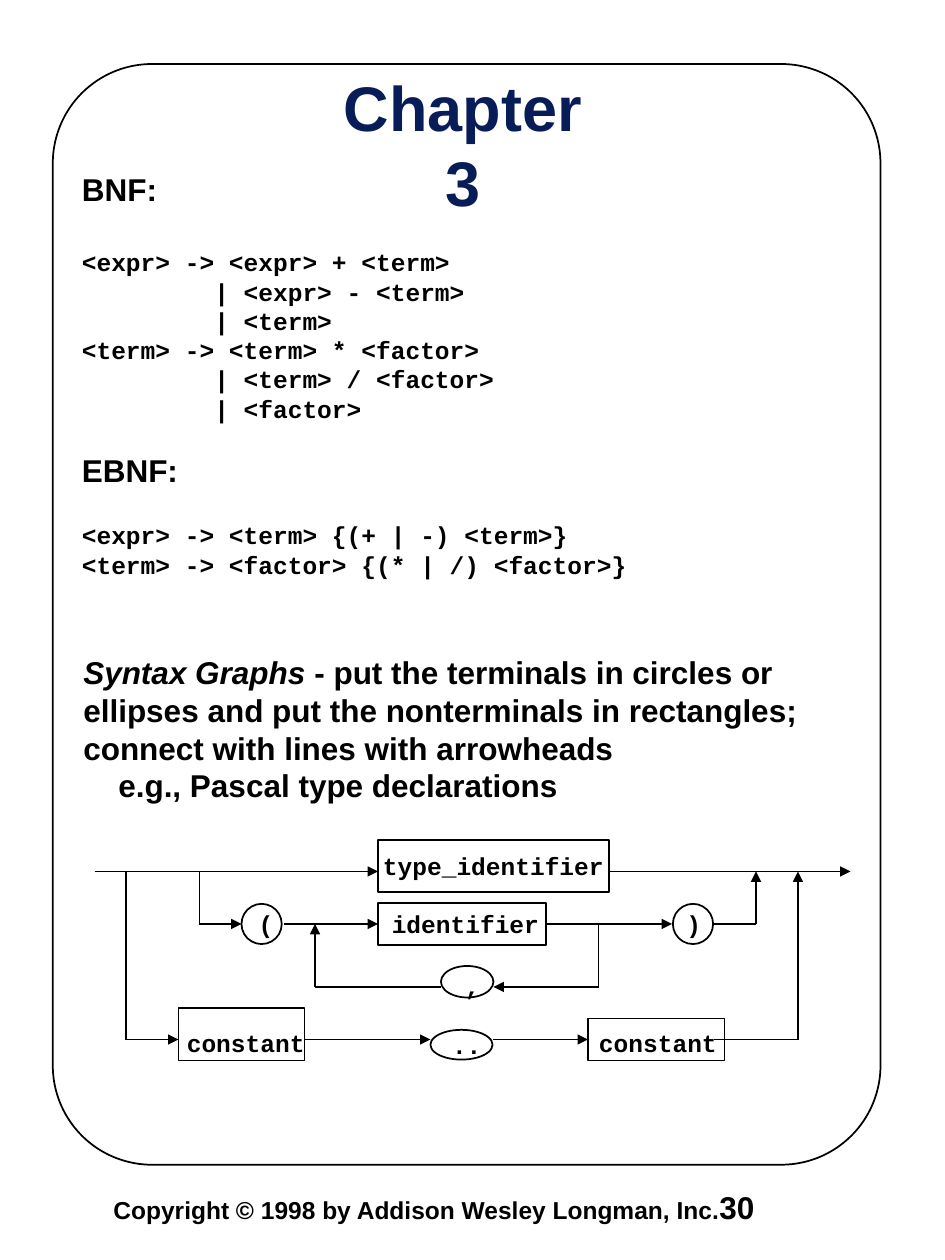
from dataclasses import dataclass

from lxml.etree import SubElement
from pptx import Presentation
from pptx.dml.color import RGBColor
from pptx.enum.shapes import MSO_CONNECTOR as Connector, MSO_SHAPE as Shape
from pptx.enum.text import MSO_ANCHOR as Anchor, PP_ALIGN as Align
from pptx.oxml.ns import qn
from pptx.util import Pt


@dataclass(frozen=True)
class Theme:
    ink: RGBColor = RGBColor(0, 0, 0)
    navy: RGBColor = RGBColor(0x08, 0x1D, 0x58)
    sans: str = "Arial"
    mono: str = "Courier New"
    title: int = 36
    body: int = 18
    code: int = 14
    leading: float = 1.195
    line: float = 1


THEME = Theme()

EXPRESSION_BNF = [
    "<expr> -> <expr> + <term>",
    "         | <expr> - <term>",
    "         | <term>",
    "<term> -> <term> * <factor>",
    "         | <term> / <factor>",
    "         | <factor>",
]
EXPRESSION_EBNF = [
    "<expr> -> <term> {(+ | -) <term>}",
    "<term> -> <factor> {(* | /) <factor>}",
]

TYPE_ROW, LIST_ROW, COMMA_ROW, RANGE_ROW = 498, 528, 564, 594

NODES = [
    (Shape.RECTANGLE, 216, 480, 132, 30, "type_identifier", 0, 0),
    (Shape.OVAL, 138, 516.5, 23, 23, "(", 2.5, 0),
    (Shape.RECTANGLE, 216, 516, 96, 24, "identifier", 2, 0),
    (Shape.OVAL, 384.5, 516.5, 23, 23, ")", 0.5, 0),
    (Shape.OVAL, 252, 552, 30, 18, ",", 3, 2),
    (Shape.RECTANGLE, 102, 576, 72, 30, "constant", 2.5, 5),
    (Shape.OVAL, 246, 588.5, 35.5, 17, "..", 3, 0),
    (Shape.RECTANGLE, 336, 582, 78, 24, "constant", 1, 2),
]
LINES = [
    (114, TYPE_ROW, 114, LIST_ROW),
    (408, LIST_ROW, 432, LIST_ROW),
    (180, COMMA_ROW, 252, COMMA_ROW),
    (342, COMMA_ROW, 342, LIST_ROW),
    (72, TYPE_ROW, 72, RANGE_ROW),
    (408, RANGE_ROW, 456, RANGE_ROW),
]
ARROWS = [
    (54, TYPE_ROW, 216, TYPE_ROW),
    (348, TYPE_ROW, 486, TYPE_ROW),
    (114, LIST_ROW, 138, LIST_ROW),
    (162, LIST_ROW, 216, LIST_ROW),
    (312, LIST_ROW, 384, LIST_ROW),
    (432, LIST_ROW, 432, TYPE_ROW),
    (456, RANGE_ROW, 456, TYPE_ROW),
    (342, COMMA_ROW, 282, COMMA_ROW),
    (180, COMMA_ROW, 180, LIST_ROW),
    (72, RANGE_ROW, 102, RANGE_ROW),
    (174, RANGE_ROW, 246, RANGE_ROW),
    (282, RANGE_ROW, 336, RANGE_ROW),
]


def style(paragraph, face, size, color=THEME.ink):
    font = paragraph.font
    font.name, font.size, font.bold = face, Pt(size), True
    font.color.rgb = color


def add_box(page, left, top, width, height, wrap=False):
    box = page.shapes.add_textbox(Pt(left), Pt(top), Pt(width), Pt(height))
    frame = box.text_frame
    frame.word_wrap = wrap
    frame.margin_left = frame.margin_right = Pt(3.6)
    frame.margin_top = frame.margin_bottom = Pt(1.4)
    return frame


def add_para(frame, text, face, size, before=0, color=THEME.ink):
    first = frame.paragraphs[0]
    para = frame.add_paragraph() if first.runs else first
    para.add_run().text = text
    para.line_spacing = Pt(round(size * THEME.leading, 2))
    para.space_before = Pt(before)
    style(para, face, size, color)
    return para


def add_code(frame, rows, before):
    for index, row in enumerate(rows):
        add_para(frame, row, THEME.mono, THEME.code, 0 if index else before)


def add_outline(page, kind, left, top, width, height):
    shape = page.shapes.add_shape(kind, Pt(left), Pt(top), Pt(width), Pt(height))
    shape.shadow.inherit = False
    shape.fill.background()
    shape.line.color.rgb = THEME.ink
    shape.line.width = Pt(THEME.line)
    return shape


def add_node(page, kind, left, top, width, height, label, right_shift, down_shift):
    frame = add_outline(page, kind, left, top, width, height).text_frame
    frame.word_wrap = False
    frame.vertical_anchor = Anchor.MIDDLE
    frame.margin_left, frame.margin_top = Pt(2 * right_shift), Pt(2 * down_shift)
    frame.margin_right = frame.margin_bottom = 0
    para = frame.paragraphs[0]
    para.text = label
    para.alignment = Align.CENTER
    style(para, THEME.mono, THEME.code)


def add_line(page, start_x, start_y, end_x, end_y, arrow=False):
    line = page.shapes.add_connector(
        Connector.STRAIGHT, Pt(start_x), Pt(start_y), Pt(end_x), Pt(end_y))
    line.line.color.rgb = THEME.ink
    line.line.width = Pt(THEME.line)
    if arrow:
        SubElement(line.line._get_or_add_ln(), qn("a:tailEnd"), type="triangle")
    SubElement(line._element.spPr, qn("a:effectLst"))


def add_frame_and_footer(page):
    border = add_outline(page, Shape.ROUNDED_RECTANGLE, 30.2, 36.6, 473, 629)
    border.adjustments[0] = 0.12
    footer = add_box(page, 61.2, 681.5, 358.6, 20)
    add_para(footer, "Copyright © 1998 by Addison Wesley Longman, Inc.",
             THEME.sans, THEME.code)
    number = add_box(page, 407.5, 677.7, 94, 24.5)
    add_para(number, "30", THEME.sans, THEME.body)


def add_title(page):
    frame = add_box(page, 179.5, 38, 170, 89, wrap=True)
    para = add_para(frame, "Chapter 3", THEME.sans, THEME.title, color=THEME.navy)
    para.alignment = Align.CENTER


def add_grammars(page):
    frame = add_box(page, 43.2, 96, 319, 252)
    add_para(frame, "BNF:", THEME.sans, THEME.body)
    add_code(frame, EXPRESSION_BNF, 22.5)
    add_para(frame, "EBNF:", THEME.sans, THEME.body, before=16.2)
    add_code(frame, EXPRESSION_EBNF, 18)


def add_explanation(page):
    frame = add_box(page, 44, 372, 420, 90)
    opening = add_para(frame, "Syntax Graphs ", THEME.sans, THEME.body)
    opening.runs[0].font.italic = True
    opening.add_run().text = "- put the terminals in circles or"
    for text in ("ellipses and put the nonterminals in rectangles;",
                 "connect with lines with arrowheads"):
        add_para(frame, text, THEME.sans, THEME.body)
    example = add_para(frame, "e.g., Pascal type declarations", THEME.sans, THEME.body)
    example._p.get_or_add_pPr().set("marL", str(Pt(20)))


def add_syntax_graph(page):
    for ends in LINES:
        add_line(page, *ends)
    for ends in ARROWS:
        add_line(page, *ends, arrow=True)
    for node in NODES:
        add_node(page, *node)


def main():
    deck = Presentation()
    deck.slide_width, deck.slide_height = Pt(540), Pt(720)
    page = deck.slides.add_slide(deck.slide_layouts[6])
    add_frame_and_footer(page)
    add_title(page)
    add_grammars(page)
    add_explanation(page)
    add_syntax_graph(page)
    deck.save("out.pptx")


if __name__ == "__main__":
    main()
